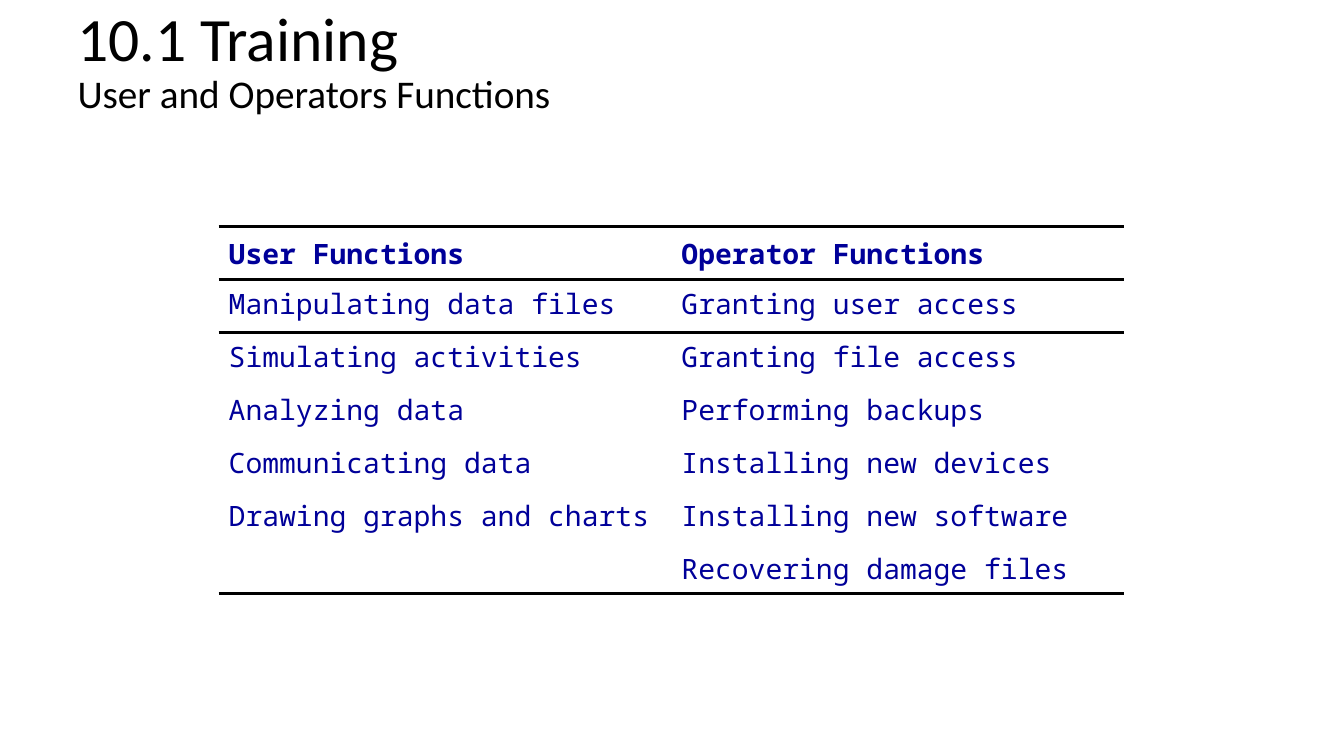
import dataclasses

import lxml.etree
import pptx
import pptx.dml.color
import pptx.enum.text
import pptx.oxml.ns
import pptx.util

Cm, Pt = pptx.util.Cm, pptx.util.Pt
COLORS = {"title": "000000", "rule": "000000", "entry": "000099"}
PLAIN_TABLE_STYLE = "{2D5ABB26-0587-4C30-8999-92F81FD0307C}"
RULE_WIDTH = Pt(2.25)


@dataclasses.dataclass(frozen=True)
class FunctionRow:
    """One table row: a user function beside an operator function."""

    user: str
    operator: str
    height: float = 1.34
    header: bool = False
    rules: tuple[str, ...] = ()


FUNCTION_ROWS = [
    FunctionRow("User Functions", "Operator Functions", header=True, rules=("T", "B")),
    FunctionRow("Manipulating data files", "Granting user access", height=1.32, rules=("T",)),
    FunctionRow("Simulating activities", "Granting file access"),
    FunctionRow("Analyzing data", "Performing backups"),
    FunctionRow("Communicating data", "Installing new devices"),
    FunctionRow("Drawing graphs and charts", "Installing new software"),
    FunctionRow("", "Recovering damage files", height=1.22, rules=("B",)),
]


def style_font(font, family: str, size: float, color: str, bold: bool = False) -> None:
    """Set family, size, colour and weight of a font."""
    font.name, font.size, font.bold = family, Pt(size), bold
    font.color.rgb = pptx.dml.color.RGBColor.from_string(COLORS[color])


def add_rule(cell, side: str) -> None:
    """Draw a border on the top (T) or bottom (B) side of a cell."""
    qn = pptx.oxml.ns.qn
    properties = cell._tc.get_or_add_tcPr()
    line = lxml.etree.SubElement(properties, qn(f"a:ln{side}"), w=str(int(RULE_WIDTH)))
    fill = lxml.etree.SubElement(line, qn("a:solidFill"))
    lxml.etree.SubElement(fill, qn("a:srgbClr"), val=COLORS["rule"])


def fill_cell(cell, entry: str, row: FunctionRow) -> None:
    """Write one entry with its rules and formatting."""
    for side in row.rules:
        add_rule(cell, side)
    cell.fill.background()
    anchors = pptx.enum.text.MSO_ANCHOR
    cell.vertical_anchor = anchors.MIDDLE if row.header else anchors.TOP
    paragraph = cell.text_frame.paragraphs[0]
    paragraph.text = entry
    paragraph.space_before = Pt(7)
    style_font(paragraph.font, "Noto Sans Mono", 20, "entry", row.header)


def add_title(slide, heading: str, subheading: str) -> None:
    """Place the title with a smaller second line."""
    title = slide.shapes.title
    title.left, title.top, title.width, title.height = Cm(1.7), Cm(0), Cm(30.43), Cm(3.15)
    frame = title.text_frame
    frame.auto_size = pptx.enum.text.MSO_AUTO_SIZE.NONE
    frame.vertical_anchor = pptx.enum.text.MSO_ANCHOR.MIDDLE
    paragraph = frame.paragraphs[0]
    paragraph.text = f"{heading}\v{subheading}"
    paragraph.alignment = pptx.enum.text.PP_ALIGN.LEFT
    paragraph.line_spacing = 0.9
    style_font(paragraph.font, "Calibri", 44, "title")
    paragraph.runs[1].font.size = Pt(28)


def add_function_table(slide, rows: list[FunctionRow]) -> None:
    """Add the two-column table of functions."""
    height = Cm(sum(row.height for row in rows))
    frame = slide.shapes.add_table(len(rows), 2, Cm(5.51), Cm(5.71), Cm(22.82), height)
    functions = frame.table
    functions._tbl.tblPr.find(pptx.oxml.ns.qn("a:tableStyleId")).text = PLAIN_TABLE_STYLE
    functions.horz_banding = False
    for table_row, row in zip(functions.rows, rows):
        table_row.height = Cm(row.height)
        for cell, entry in zip(table_row.cells, (row.user, row.operator)):
            fill_cell(cell, entry, row)


def main() -> None:
    """Build and save the slide."""
    deck = pptx.Presentation()
    deck.slide_width, deck.slide_height = Cm(33.87), Cm(19.05)
    slide = deck.slides.add_slide(deck.slide_layouts.get_by_name("Title Only"))
    add_title(slide, "10.1 Training", "User and Operators Functions")
    add_function_table(slide, FUNCTION_ROWS)
    deck.save("out.pptx")


main()
